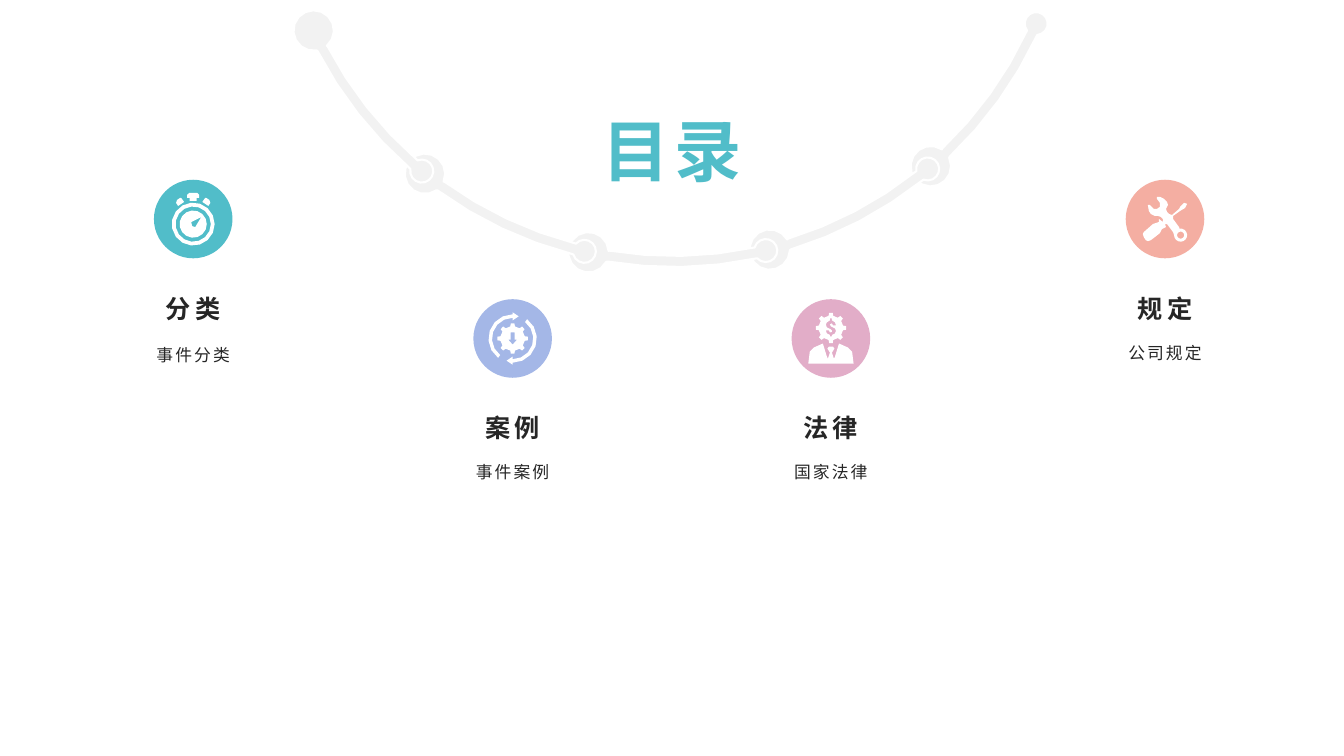
from dataclasses import dataclass
from math import asin, ceil, cos, degrees, radians, sin

from pptx import Presentation
from pptx.dml.color import RGBColor
from pptx.enum.shapes import MSO_SHAPE
from pptx.enum.text import MSO_ANCHOR, MSO_AUTO_SIZE, PP_ALIGN
from pptx.util import Cm, Pt


@dataclass(frozen=True)
class Theme:
    font: str = "Arial"
    white: RGBColor = RGBColor.from_string("FFFFFF")
    text: RGBColor = RGBColor.from_string("262626")
    chain: RGBColor = RGBColor.from_string("F2F2F2")
    teal: RGBColor = RGBColor.from_string("51BDC9")
    blue: RGBColor = RGBColor.from_string("A4B7E7")
    pink: RGBColor = RGBColor.from_string("E2ADC8")
    coral: RGBColor = RGBColor.from_string("F4AEA2")
    title: Pt = Pt(48)
    heading: Pt = Pt(18)
    caption: Pt = Pt(12)


theme = Theme()


def arc(x, y, radius, start, end):
    """Points along an arc; angles in degrees, clockwise from the right."""
    steps = max(4, ceil(abs(end - start) / 24))
    angles = [radians(start + (end - start) * i / steps) for i in range(steps + 1)]
    return [(x + radius * cos(a), y + radius * sin(a)) for a in angles]


def write(sp, text, size, color, bold, spacing, frame):
    """Put one centred line of text in a box or placeholder."""
    tf = sp.text_frame
    settings = {"word_wrap": True, "auto_size": MSO_AUTO_SIZE.NONE,
                "margin_left": Cm(0.25), "margin_right": Cm(0.25), **frame}
    for name, value in settings.items():
        setattr(tf, name, value)
    p = tf.paragraphs[0]
    p.alignment, p.line_spacing = PP_ALIGN.CENTER, 1.2
    r = p.add_run()
    r.text = text
    for name, value in {"name": theme.font, "size": size, "bold": bold}.items():
        setattr(r.font, name, value)
    r.font.color.rgb = color
    r.font._element.set("spc", str(spacing))


prs = Presentation()
prs.slide_width, prs.slide_height = Cm(33.87), Cm(19.05)
s = prs.slides.add_slide(prs.slide_layouts[5])

# Title
title = s.shapes.title
title.left, title.top, title.width, title.height = Cm(12.8), Cm(1.83), Cm(8.28), Cm(3.5)
write(title, "目录", theme.title, theme.teal, True, 300,
      {"vertical_anchor": MSO_ANCHOR.MIDDLE, "margin_top": Cm(0.13), "margin_bottom": Cm(0.13)})

# Icon outlines, on a grid of hundredths of 2.54 cm around the disc centre
GRID = 2.54 / 100
ear = [(-12, -21), (-9, -17), (-15, -13), (-17, -16), (-16, -19), (-13, -21)]
half_crown = [(4, -26), (6, -24), (6, -21), (3.5, -21), (3.5, -18)]
stopwatch = [
    *[arc(0, 5, radius, 0, 360) for radius in (21.3, 17.5, 13.5)],
    [(8, -2), (-2, 3), (-1, 7), (2, 8)],
    ear, [(-x, y) for x, y in ear],
    half_crown + [(-x, y) for x, y in reversed(half_crown)],
]

tooth = [(12, -2.3), (15, -1.8), (15, 1.8), (12, 2.3)]
gear = [(u * cos(a) - v * sin(a), u * sin(a) + v * cos(a))
        for a in map(radians, range(0, 360, 45)) for u, v in tooth]
down_arrow = [(-2, -6), (2, -6), (2, 1), (4.5, 1), (0, 6), (-4.5, 1), (-2, 1)]
turn = arc(0, 0, 24, -53, 90) + [(0, 26), (-6, 22), (0, 18)] + arc(0, 0, 20.5, 90, -53)
cycle = [gear, down_arrow, turn, [(-x, -y) for x, y in turn]]

half_suit = [(2, 8), (3.5, 10), (1, 14), (3, 20), (4, 18), (8, 5),
             (17, 9), (21, 13), (22.5, 25)]
dollar = [(-1, -20), (-1, -18), (-4, -16), (-5, -14), (-4, -11), (0, -9), (1, -8),
          (1, -6.5), (-1, -6), (-2, -8), (-5, -8), (-4, -5), (-1, -3.5),
          (-1, -2), (1, -2), (1, -3.5), (4, -5), (5, -7.5), (4, -10), (0, -12),
          (-1, -14), (1, -15), (2, -13), (5, -13), (4, -16), (1, -18), (1, -20)]
adviser = [
    half_suit + [(-x, y) for x, y in reversed(half_suit)],
    [(x, y - 10.5) for x, y in gear], dollar,
]

tools = [
    [(14, 8), (8, 0), (8, -3), (15, -8), (20, -11), (22, -15),
     (19, -16), (15, -12), (14, -10), (7, -4), (4, -5), (2, -7), (1, -10),
     (3, -14), (2, -17), (-1, -20), (-5, -22), (-8, -22), (-8, -20), (-5, -16),
     (-5, -12), (-8, -10), (-11, -10), (-15, -14), (-17, -14), (-16, -8), (-14, -5),
     (-10, -3), (-7, -3), (-4, -2), (-2, 0), (-2, 3), (-6, 0), (-6, 3),
     (-12, 5), (-21, 13), (-22, 15), (-21, 18), (-19, 21), (-17, 22),
     (-14, 21), (-5, 14), (-3, 10), (1, 8), (0, 5), (2, 5), (8, 13)]
    + arc(15.5, 16, 6.5, 180, -100),
    arc(15.5, 16, 3.5, 0, 360),
]

# Four topics: disc, heading and caption
topics = [
    ("分类", "事件分类", theme.teal, 4.87, 5.52, 8.59, stopwatch),
    ("规定", "公司规定", theme.coral, 29.36, 5.52, 8.53, tools),
    ("法律", "国家法律", theme.pink, 20.94, 8.53, 11.53, adviser),
    ("案例", "事件案例", theme.blue, 12.92, 8.53, 11.53, cycle),
]
DISC, BOX = 1.98, 5.97
outlines = []
for heading, caption, color, x, y, caption_top, icon in topics:
    disc = s.shapes.add_shape(MSO_SHAPE.OVAL, Cm(x - DISC / 2), Cm(y - DISC / 2),
                              Cm(DISC), Cm(DISC))
    disc.shadow.inherit = False
    disc.fill.solid()
    disc.fill.fore_color.rgb = color
    disc.line.fill.background()
    outlines.append(([[(x + u * GRID, y + v * GRID) for u, v in c] for c in icon],
                     theme.white, False))
    left = Cm(x - BOX / 2)
    write(s.shapes.add_textbox(left, Cm(y + 1.41), Cm(BOX), Cm(1.22)),
          heading, theme.heading, theme.text, True, 300,
          {"vertical_anchor": MSO_ANCHOR.BOTTOM, "margin_top": Cm(0.13), "margin_bottom": 0})
    write(s.shapes.add_textbox(left, Cm(caption_top), Cm(BOX), Cm(1.65)),
          caption, theme.caption, theme.text, False, 150,
          {"vertical_anchor": MSO_ANCHOR.TOP, "margin_top": 0, "margin_bottom": Cm(0.13)})

# Hanging chain: five links spaced evenly on one circle, the leftmost in front
CX, CY, RADIUS, HALF_BAND = 16.97, -3.38, 9.97, 0.14
BIG, SMALL = 0.51, 0.29
big_gap, small_gap = (degrees(asin(HALF_BAND / radius)) for radius in (BIG, SMALL))
for k in reversed(range(5)):
    start = 155.4 - 26.5 * k
    end = start - 25.9
    nodes = arc(CX, CY, RADIUS, start, end)
    band = start - degrees(BIG / RADIUS), end + degrees(SMALL / RADIUS)
    link = (arc(*nodes[0], BIG, start - 90 + big_gap, start + 270 - big_gap)
            + arc(CX, CY, RADIUS - HALF_BAND, *band)
            + arc(*nodes[-1], SMALL, end + 90 + small_gap, end + 450 - small_gap)
            + arc(CX, CY, RADIUS + HALF_BAND, *reversed(band)))
    outlines.append(([link], theme.chain, True))

# Draw icons and chain links
for contours, color, edged in outlines:
    contours = [[(Cm(x), Cm(y)) for x, y in c] for c in contours]
    builder = s.shapes.build_freeform(*contours[0][0])
    for i, c in enumerate(contours):
        if i:
            builder.move_to(*c[0])
        builder.add_line_segments(c[1:], close=True)
    sp = builder.convert_to_shape()
    sp.shadow.inherit = False
    sp.fill.solid()
    sp.fill.fore_color.rgb = color
    if edged:
        sp.line.color.rgb, sp.line.width = theme.white, Pt(1.5)
    else:
        sp.line.fill.background()

prs.save("out.pptx")
